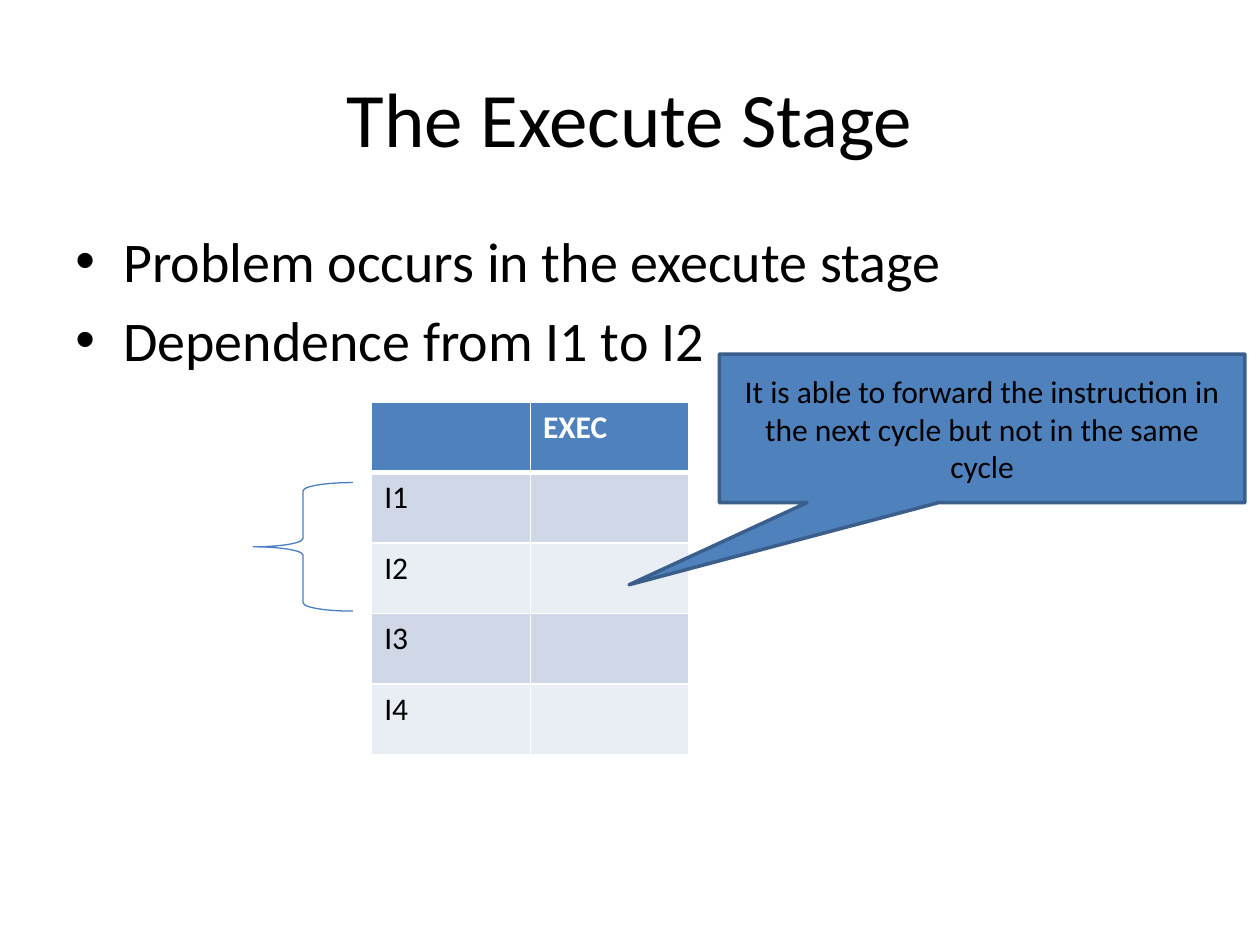
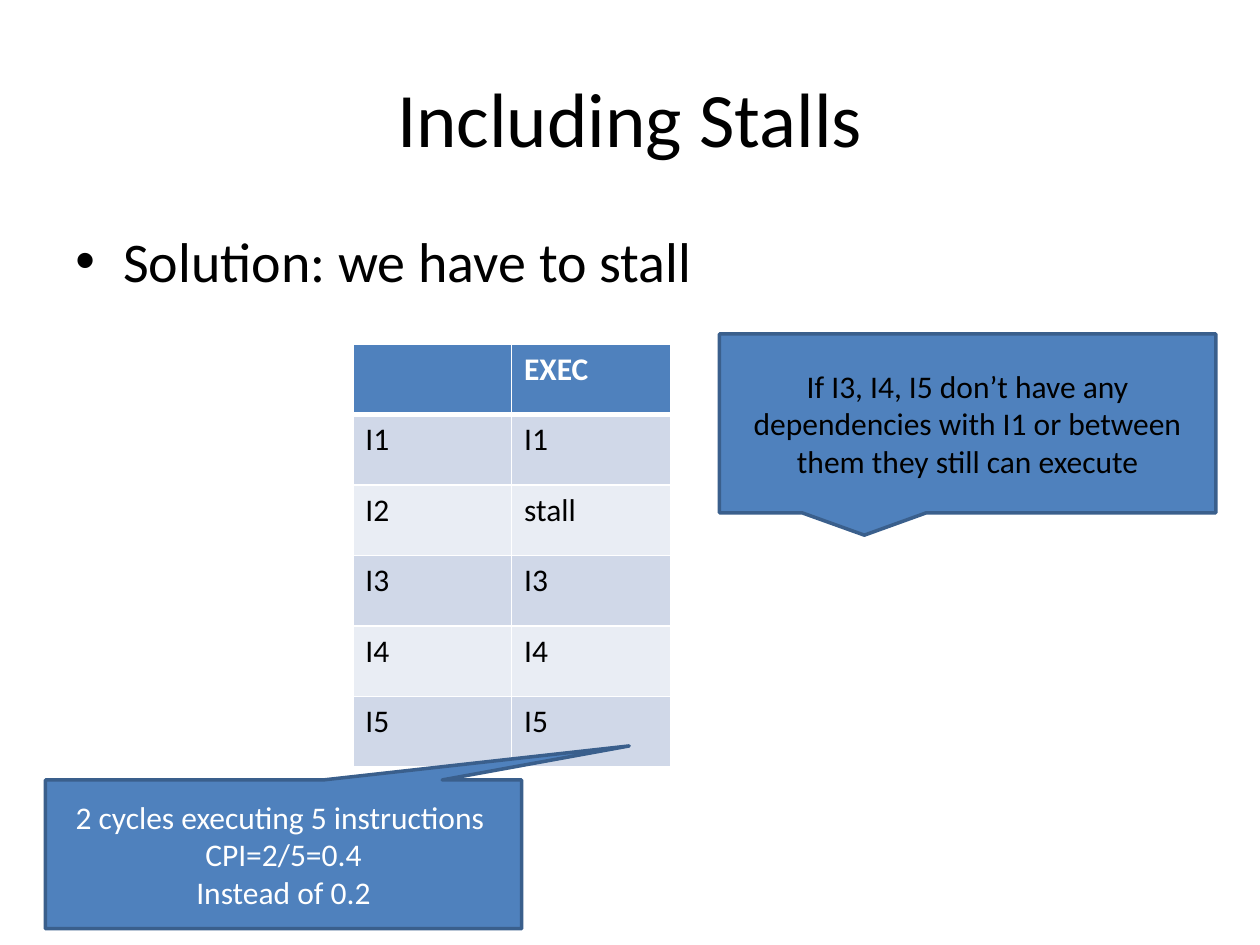
from lxml.etree import SubElement
from pptx import Presentation
from pptx.dml.color import RGBColor
from pptx.enum.shapes import MSO_SHAPE
from pptx.enum.text import MSO_ANCHOR, PP_ALIGN
from pptx.oxml.ns import qn
from pptx.util import Inches, Pt

# Shared look
BLACK, WHITE, BLUE = "000000", "FFFFFF", "4F81BD"
BRACE_BLUE, EDGE_BLUE = "4B7EBC", "3A5F8C"
BANDS = ("D0D8E8", "E9EDF4")
TITLE_AREA = (0.5, 0.3, 9, 1.25)
BODY_AREA = (0.5, 1.75, 9, 4.95)
COLUMN_WIDTH, ROW_HEIGHT, BULLET_INDENT = 1.26, 0.56, 0.38

TITLE_FONT = {"name": "Calibri", "size": Pt(44), "bold": False}
BODY_FONT = {"name": "Calibri", "size": Pt(32), "bold": False}
SMALL_FONT = {"name": "Calibri", "size": Pt(18), "bold": False}
HEADER_FONT = {**SMALL_FONT, "bold": True}
CENTRED = {"alignment": PP_ALIGN.CENTER}
BULLETED = {"space_before": Pt(6.4)}

# Content
SLIDES = [
    {
        "title": "The Execute Stage",
        "bullets": ["Problem occurs in the execute stage", "Dependence from I1 to I2"],
        "table_at": (2.95, 3.19),
        "rows": [("", "EXEC"), ("I1", ""), ("I2", ""), ("I3", ""), ("I4", "")],
        "brace": (2.01, 3.83, 0.79, 1.02),
        "callouts": [
            {"area": (5.71, 2.81, 4.17, 1.18), "tip": (-0.672, 1.052), "color": BLACK,
             "lines": ["It is able to forward the instruction in the next cycle "
                       "but not in the same cycle"]},
        ],
    },
    {
        "title": "Including Stalls",
        "bullets": ["Solution: we have to stall"],
        "table_at": (2.8, 2.73),
        "rows": [("", "EXEC"), ("I1", "I1"), ("I2", "stall"), ("I3", "I3"),
                 ("I4", "I4"), ("I5", "I5")],
        "brace": None,
        "callouts": [
            {"area": (5.71, 2.65, 3.94, 1.42), "tip": (-0.208, 0.625), "color": BLACK,
             "lines": ["If I3, I4, I5 don’t have any dependencies with I1 "
                       "or between them they still can execute"]},
            {"area": (0.36, 6.19, 3.78, 1.18), "tip": (0.726, -0.729), "color": WHITE,
             "lines": ["2 cycles executing 5 instructions ", "CPI=2/5=0.4",
                       "Instead of 0.2"]},
        ],
    },
]


def rgb(color):
    return RGBColor.from_string(color)


def apply(target, values):
    for name, value in values.items():
        setattr(target, name, value)


def inches(values):
    return [Inches(value) for value in values]


def write(frame, lines, font, color, layout):
    """Fill a text frame with one paragraph per line."""
    for number, line in enumerate(lines):
        para = frame.add_paragraph() if number else frame.paragraphs[0]
        apply(para, layout)
        span = para.add_run()
        span.text = line
        apply(span.font, font)
        span.font.color.rgb = rgb(color)


def add_text(page, area, lines, font, layout, anchor):
    box = page.shapes.add_textbox(*inches(area))
    apply(box.text_frame, {"word_wrap": True, "vertical_anchor": anchor})
    write(box.text_frame, lines, font, BLACK, layout)
    return box


def add_bullets(page, lines):
    box = add_text(page, BODY_AREA, lines, BODY_FONT, BULLETED, MSO_ANCHOR.TOP)
    indent = Inches(BULLET_INDENT)
    for para in box.text_frame.paragraphs:
        settings = para._p.get_or_add_pPr()
        settings.set("marL", str(indent))
        settings.set("indent", str(-indent))
        SubElement(settings, qn("a:buFont")).set("typeface", "Arial")
        SubElement(settings, qn("a:buChar")).set("char", "•")


def add_borders(cell, widths):
    settings = cell._tc.get_or_add_tcPr()
    for side, width in widths.items():
        line = SubElement(settings, qn(f"a:ln{side}"))
        line.set("w", str(Pt(width)))
        fill = SubElement(line, qn("a:solidFill"))
        SubElement(fill, qn("a:srgbClr")).set("val", WHITE)


def add_grid(page, corner, rows):
    columns = len(rows[0])
    size = (COLUMN_WIDTH * columns, ROW_HEIGHT * len(rows))
    table = page.shapes.add_table(len(rows), columns, *inches(corner + size)).table
    for column in table.columns:
        column.width = Inches(COLUMN_WIDTH)
    for y, row in enumerate(rows):
        table.rows[y].height = Inches(ROW_HEIGHT)
        header = y == 0
        for x, label in enumerate(row):
            cell = table.cell(y, x)
            # A thicker rule separates the header from the first row
            add_borders(cell, {"L": 1, "R": 1, "T": 3 if y == 1 else 1,
                               "B": 3 if header else 1})
            cell.fill.solid()
            cell.fill.fore_color.rgb = rgb(BLUE if header else BANDS[(y - 1) % 2])
            if label:
                write(cell.text_frame, [label], HEADER_FONT if header else SMALL_FONT,
                      WHITE if header else BLACK, {})


def add_outline(page, kind, area, color, width):
    shape = page.shapes.add_shape(kind, *inches(area))
    shape.shadow.inherit = False
    shape.line.color.rgb = rgb(color)
    shape.line.width = Pt(width)
    return shape


def add_callout(page, area, tip, color, lines):
    shape = add_outline(page, MSO_SHAPE.RECTANGULAR_CALLOUT, area, EDGE_BLUE, 2)
    shape.fill.solid()
    shape.fill.fore_color.rgb = rgb(BLUE)
    for number, offset in enumerate(tip):
        shape.adjustments[number] = offset
    apply(shape.text_frame, {"word_wrap": True, "vertical_anchor": MSO_ANCHOR.MIDDLE})
    write(shape.text_frame, lines, SMALL_FONT, color, CENTRED)


def main():
    deck = Presentation()
    apply(deck, {"slide_width": Inches(10), "slide_height": Inches(7.5)})
    for content in SLIDES:
        page = deck.slides.add_slide(deck.slide_layouts[6])
        add_text(page, TITLE_AREA, [content["title"]], TITLE_FONT, CENTRED,
                 MSO_ANCHOR.MIDDLE)
        add_bullets(page, content["bullets"])
        add_grid(page, content["table_at"], content["rows"])
        if content["brace"]:
            brace = add_outline(page, MSO_SHAPE.LEFT_BRACE, content["brace"],
                                BRACE_BLUE, 0.75)
            brace.fill.background()
        for callout in content["callouts"]:
            add_callout(page, **callout)
    deck.save("out.pptx")


if __name__ == "__main__":
    main()
